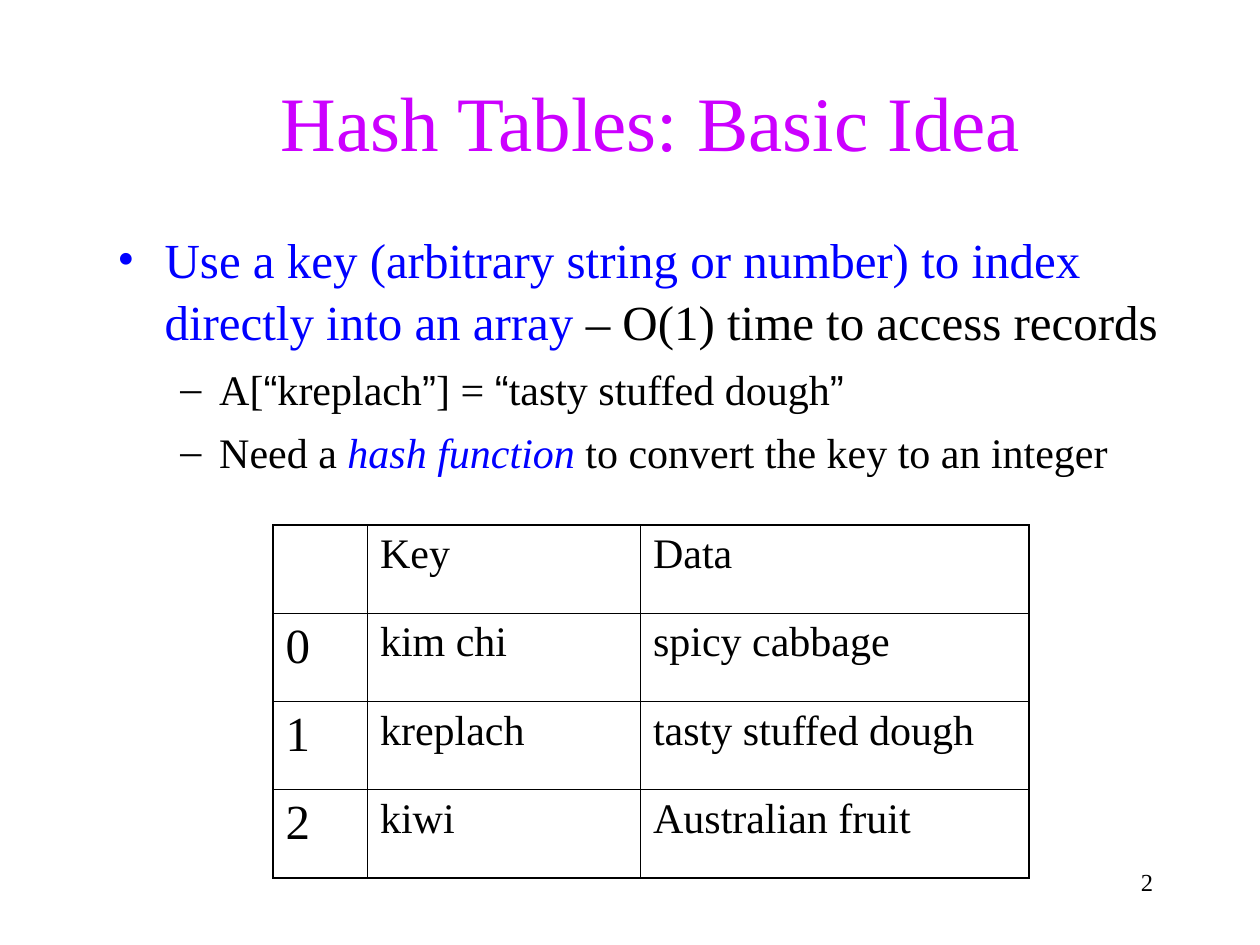
from lxml import etree
from pptx import Presentation
from pptx.dml.color import RGBColor
from pptx.enum.text import MSO_ANCHOR, PP_ALIGN
from pptx.oxml.ns import qn
from pptx.util import Emu, Pt

PX = 7620
SERIF, SANS = "Times New Roman", "Arial"
BLACK, BLUE, MAGENTA = "000000", "0000FF", "CC00FF"
CENTER, RIGHT, MIDDLE = PP_ALIGN.CENTER, PP_ALIGN.RIGHT, MSO_ANCHOR.MIDDLE

BULLETS = [
    (0, 28, [("Use a key (arbitrary string or number) to index directly into an array",
              {"color": BLUE}),
             (" – O(1) time to access records", {})]),
    (1, 24, [("A[", {}), ("“", {"name": SANS}), ("kreplach", {}),
             ("”", {"name": SANS}), ("] = ", {}), ("“", {"name": SANS}),
             ("tasty stuffed dough", {}), ("”", {"name": SANS})]),
    (1, 24, [("Need a ", {}), ("hash function", {"color": BLUE, "italic": True}),
             (" to convert the key to an integer", {})]),
]
LEVELS = [
    {"bullet": "•", "color": BLUE, "margin": 45, "indent": -45, "before": 0},
    {"bullet": "–", "color": BLACK, "margin": 97, "indent": -37, "before": 6},
]
ROWS = [
    ("", "Key", "Data"),
    ("0", "kim chi", "spicy cabbage"),
    ("1", "kreplach", "tasty stuffed dough"),
    ("2", "kiwi", "Australian fruit"),
]
COL_WIDTHS = (90, 260, 370)


def px(n):
    """Turn px into EMU."""
    return Emu(n * PX)


def rgb(value):
    """Turn a hex string into a colour."""
    return RGBColor.from_string(value)


def add_run(p, text, size, color=BLACK, **fmt):
    """Add a run with its font values."""
    r = p.add_run()
    r.text = text
    for key, value in {"name": SERIF, "size": Pt(size), **fmt}.items():
        setattr(r.font, key, value)
    r.font.color.rgb = rgb(color)


def add_text_box(slide, box):
    """Add a wrapping text box and return its text frame."""
    tf = slide.shapes.add_textbox(*map(px, box)).text_frame
    tf.word_wrap = True
    return tf


def set_bullet(p, level):
    """Give a paragraph the bullet and indent of its level."""
    pPr = p._p.get_or_add_pPr()
    pPr.set("marL", str(px(level["margin"])))
    pPr.set("indent", str(px(level["indent"])))
    clr = etree.SubElement(pPr, qn("a:buClr"))
    etree.SubElement(clr, qn("a:srgbClr"), val=level["color"])
    etree.SubElement(pPr, qn("a:buFont"), typeface=SERIF)
    etree.SubElement(pPr, qn("a:buChar"), char=level["bullet"])


def set_borders(cell, widths):
    """Draw the left, right, top and bottom borders of a cell."""
    tcPr = cell._tc.get_or_add_tcPr()
    for i, (side, width) in enumerate(zip("LRTB", widths)):
        ln = etree.Element(qn(f"a:ln{side}"), w=str(Pt(width)))
        fill = etree.SubElement(ln, qn("a:solidFill"))
        etree.SubElement(fill, qn("a:srgbClr"), val=BLACK)
        tcPr.insert(i, ln)


def add_title(slide, box):
    """Place and fill the title."""
    sp = slide.shapes.title
    sp.left, sp.top, sp.width, sp.height = map(px, box)
    tf = sp.text_frame
    tf.vertical_anchor = MIDDLE
    p = tf.paragraphs[0]
    p.alignment = CENTER
    add_run(p, "Hash Tables: Basic Idea", 44, MAGENTA)


def add_bullets(slide, box):
    """Add the bulleted text."""
    tf = add_text_box(slide, box)
    for i, (depth, size, runs) in enumerate(BULLETS):
        p = tf.add_paragraph() if i else tf.paragraphs[0]
        level = LEVELS[depth]
        p.level = depth
        p.line_spacing = 1.05
        p.space_before = Pt(level["before"])
        set_bullet(p, level)
        for text, fmt in runs:
            add_run(p, text, size, **fmt)


def add_hash_table(slide, box):
    """Add the table of indexes, keys and data."""
    n_rows, n_cols = len(ROWS), len(COL_WIDTHS)
    table = slide.shapes.add_table(n_rows, n_cols, *map(px, box)).table
    table.first_row = table.horz_banding = False
    for col, width in zip(table.columns, COL_WIDTHS):
        col.width = px(width)
    for i, row in enumerate(ROWS):
        for j, text in enumerate(row):
            cell = table.cell(i, j)
            cell.fill.background()
            outer = (j == 0, j == n_cols - 1, i == 0, i == n_rows - 1)
            set_borders(cell, [1.08 if edge else 0.45 for edge in outer])
            if text:
                add_run(cell.text_frame.paragraphs[0], text, 24 if j else 28)


def add_slide_number(slide, box):
    """Add the slide number."""
    p = add_text_box(slide, box).paragraphs[0]
    p.alignment = RIGHT
    add_run(p, "2", 14)


def main():
    """Build and save the slide."""
    prs = Presentation()
    prs.slide_width, prs.slide_height = px(1200), px(900)
    slide = prs.slides.add_slide(prs.slide_layouts[5])
    add_slide_number(slide, (860, 820, 250, 60))
    add_title(slide, (110, 40, 1020, 150))
    add_bullets(slide, (100, 210, 1020, 540))
    add_hash_table(slide, (260, 500, 720, 336))
    prs.save("out.pptx")


if __name__ == "__main__":
    main()
